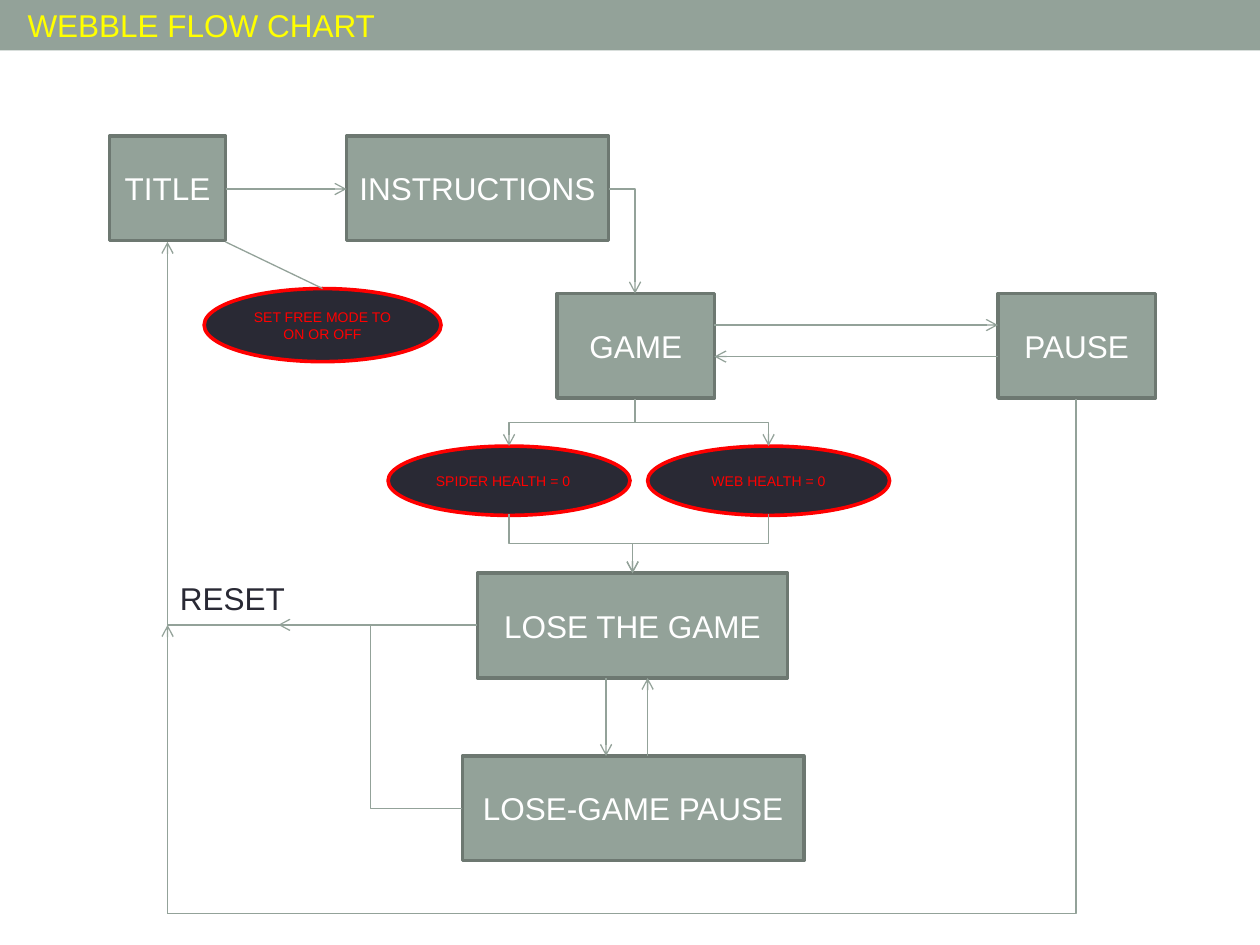
from dataclasses import dataclass

from lxml import etree
from pptx import Presentation
from pptx.dml.color import RGBColor
from pptx.enum.shapes import MSO_CONNECTOR, MSO_SHAPE
from pptx.enum.text import MSO_ANCHOR, PP_ALIGN
from pptx.oxml.ns import qn
from pptx.util import Inches, Pt

RECTANGLE, ELLIPSE = MSO_SHAPE.RECTANGLE, MSO_SHAPE.OVAL
STRAIGHT, ELBOW = MSO_CONNECTOR.STRAIGHT, MSO_CONNECTOR.ELBOW
LEFT, CENTER = PP_ALIGN.LEFT, PP_ALIGN.CENTER
TOP, MIDDLE = MSO_ANCHOR.TOP, MSO_ANCHOR.MIDDLE

SAGE = RGBColor(0x93, 0xA2, 0x99)
DARK_SAGE = RGBColor(0x6D, 0x78, 0x71)
INK = RGBColor(0x29, 0x29, 0x34)
RED = RGBColor(0xFF, 0x00, 0x00)
YELLOW = RGBColor(0xFF, 0xFF, 0x00)
WHITE = RGBColor(0xFF, 0xFF, 0xFF)

FONT = "Arial"
BOX_HEIGHT = 0.83
OUTLINE = Pt(2.08)

Point = tuple[float, float]


@dataclass
class Screen:
    text: str
    left: float
    top: float
    width: float


@dataclass
class Condition:
    text: str
    left: float
    top: float
    width: float
    height: float
    align: PP_ALIGN = CENTER


@dataclass
class Link:
    start: Point
    end: Point
    arrow: bool = True


@dataclass
class Bend(Link):
    corners: int = 1
    vertical_first: bool = False


SCREENS = [
    Screen("TITLE", 0.87, 1.08, 0.92),
    Screen("INSTRUCTIONS", 2.75, 1.08, 2.08),
    Screen("GAME", 4.42, 2.33, 1.25),
    Screen("PAUSE", 7.92, 2.33, 1.25),
    Screen("LOSE-GAME PAUSE", 3.67, 6, 2.71),
    Screen("LOSE THE GAME", 3.79, 4.55, 2.46),
]
CONDITIONS = [
    Condition("WEB HEALTH = 0", 5.14, 3.54, 1.92, 0.55),
    Condition("SPIDER HEALTH = 0", 3.08, 3.54, 1.92, 0.55, LEFT),
    Condition("SET FREE MODE TO ON OR OFF", 1.62, 2.29, 1.88, 0.58),
]
LINKS = [
    Link((1.79, 1.5), (2.75, 1.5)),
    Link((1.33, 7.25), (1.33, 4.96)),
    Link((4.81, 5.38), (4.81, 6)),
    Link((5.14, 6), (5.14, 5.38)),
    Link((1.79, 1.92), (2.56, 2.29), arrow=False),
    Link((5.67, 2.58), (7.92, 2.58)),
    Link((7.92, 2.83), (5.67, 2.83)),
]
BENDS = [
    Bend((4.83, 1.5), (5.04, 2.33)),
    Bend((3.79, 4.96), (1.33, 1.92)),
    Bend((1.33, 7.25), (8.54, 3.17), arrow=False),
    Bend((3.67, 6.42), (2.21, 4.96), corners=2),
    Bend((5.04, 3.17), (4.04, 3.54), corners=2, vertical_first=True),
    Bend((5.04, 3.17), (6.1, 3.54), corners=2, vertical_first=True),
    Bend((4.04, 4.08), (5.02, 4.55), corners=2, vertical_first=True),
    Bend((6.1, 4.08), (5.02, 4.55), corners=2, vertical_first=True),
]


def write(shape, text: str, *, size: float, color: RGBColor, align=LEFT,
          anchor=TOP, wrap: bool = False) -> None:
    frame = shape.text_frame
    frame.word_wrap = wrap
    frame.vertical_anchor = anchor
    para = frame.paragraphs[0]
    para.alignment = align
    span = para.add_run()
    span.text = text
    span.font.name = FONT
    span.font.size = Pt(size)
    span.font.color.rgb = color


def add_solid(page, kind, left: float, top: float, width: float, height: float,
              fill: RGBColor, outline: RGBColor | None = None):
    shape = page.shapes.add_shape(kind, Inches(left), Inches(top),
                                  Inches(width), Inches(height))
    shape.shadow.inherit = False
    shape.fill.solid()
    shape.fill.fore_color.rgb = fill
    if outline is None:
        shape.line.fill.background()
    else:
        shape.line.color.rgb = outline
        shape.line.width = OUTLINE
    return shape


def add_label(page, text: str, left: float, top: float, width: float,
              color: RGBColor) -> None:
    box = page.shapes.add_textbox(Inches(left), Inches(top), Inches(width), Inches(0.4))
    write(box, text, size=18, color=color)


def add_line(page, kind, start: Point, end: Point, arrow: bool):
    line = page.shapes.add_connector(kind, *map(Inches, start + end))
    line.line.color.rgb = SAGE
    line.line.width = Pt(0.75)
    if arrow:
        etree.SubElement(line.line._get_or_add_ln(), qn("a:tailEnd"), type="arrow")
    etree.SubElement(line._element.spPr, qn("a:effectLst"))
    return line


def add_bend(page, bend: Bend) -> None:
    start, end = bend.start, bend.end
    turn = 0
    if bend.vertical_first:
        # A downward bend is a sideways one turned about its centre
        (x1, y1), (x2, y2) = start, end
        center_x, center_y = (x1 + x2) / 2, (y1 + y2) / 2
        half_width, half_height = (y2 - y1) / 2, abs(x2 - x1) / 2
        side = 1 if x2 > x1 else -1
        start = (center_x + side * half_width, center_y - half_height)
        end = (center_x - side * half_width, center_y + half_height)
        turn = 270 if x2 > x1 else 90
    line = add_line(page, ELBOW, start, end, bend.arrow)
    properties = line._element.spPr
    properties.find(qn("a:prstGeom")).set("prst", f"bentConnector{bend.corners + 1}")
    if turn:
        properties.find(qn("a:xfrm")).set("rot", str(turn * 60000))


def main() -> None:
    deck = Presentation()
    deck.slide_width, deck.slide_height = Inches(10), Inches(7.5)
    page = deck.slides.add_slide(deck.slide_layouts[6])

    # Header
    add_solid(page, RECTANGLE, 0, 0, 10, 0.4, SAGE)
    add_label(page, "WEBBLE FLOW CHART", 0.12, 0, 2.99, YELLOW)

    # Game screens
    for screen in SCREENS:
        box = add_solid(page, RECTANGLE, screen.left, screen.top, screen.width,
                        BOX_HEIGHT, SAGE, DARK_SAGE)
        write(box, screen.text, size=18, color=WHITE, align=CENTER, anchor=MIDDLE)
    add_label(page, "RESET", 1.33, 4.55, 1.04, INK)

    # Conditions
    for item in CONDITIONS:
        oval = add_solid(page, ELLIPSE, item.left, item.top, item.width,
                         item.height, INK, RED)
        write(oval, item.text, size=8, color=RED, align=item.align,
              anchor=MIDDLE, wrap=True)

    # Flow lines
    for link in LINKS:
        add_line(page, STRAIGHT, link.start, link.end, link.arrow)
    for bend in BENDS:
        add_bend(page, bend)

    deck.save("out.pptx")


if __name__ == "__main__":
    main()
